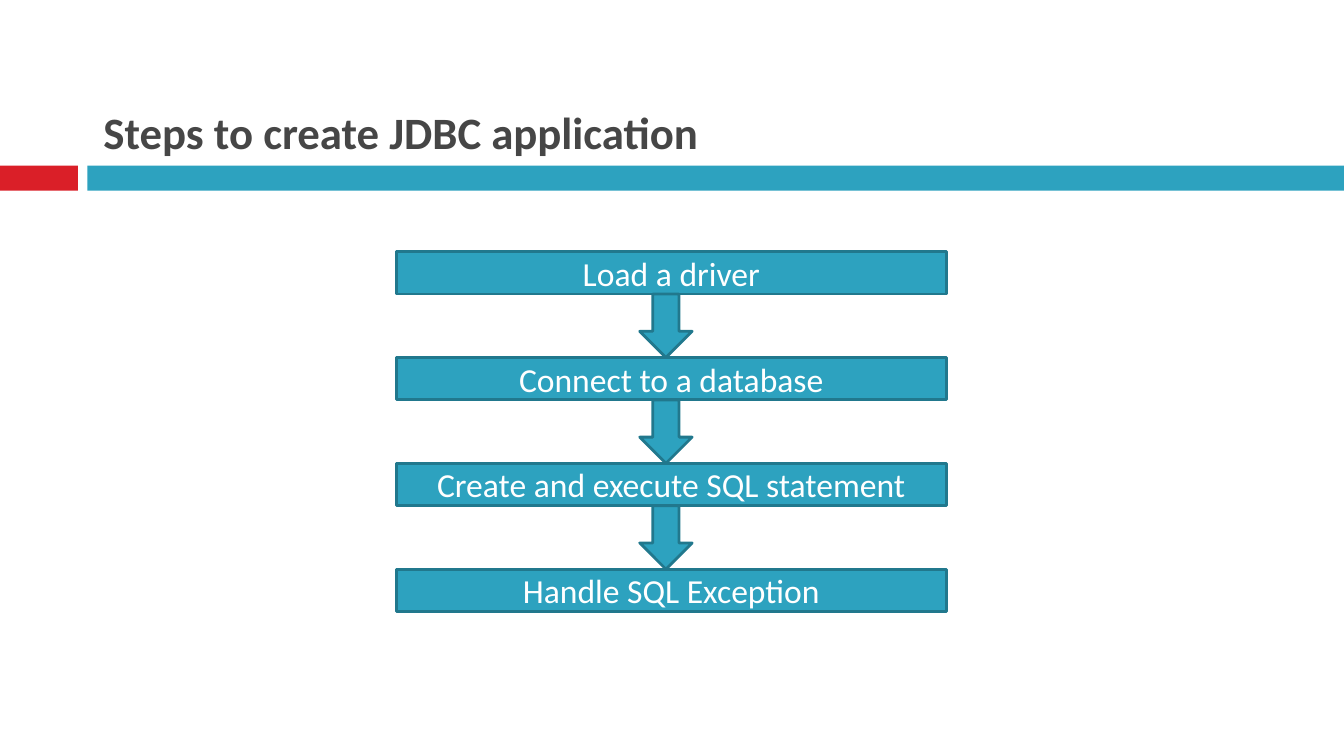
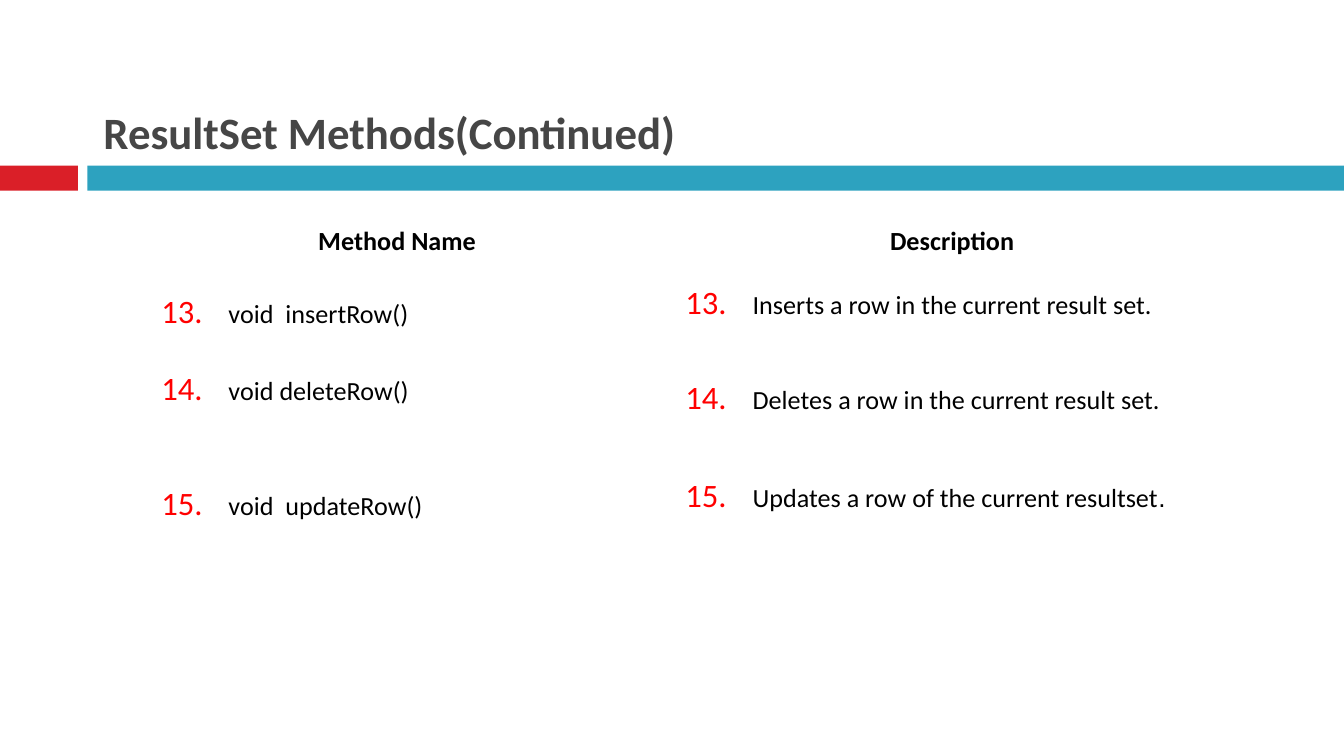
from dataclasses import dataclass

from lxml import etree
from pptx import Presentation
from pptx.dml.color import RGBColor
from pptx.enum.shapes import MSO_SHAPE
from pptx.enum.text import MSO_ANCHOR, MSO_AUTO_SIZE, PP_ALIGN
from pptx.oxml.ns import qn
from pptx.util import Inches, Pt

RECT, ARROW = MSO_SHAPE.RECTANGLE, MSO_SHAPE.DOWN_ARROW
LEFT, CENTER = PP_ALIGN.LEFT, PP_ALIGN.CENTER
BOTTOM, MIDDLE = MSO_ANCHOR.BOTTOM, MSO_ANCHOR.MIDDLE
FIXED = MSO_AUTO_SIZE.NONE


@dataclass(frozen=True)
class Theme:
    font: str = "Calibri"
    mark: str = "Arial"
    red: str = "DA1F28"
    teal: str = "2DA2BF"
    edge: str = "21788D"
    gray: str = "464646"
    white: str = "FFFFFF"
    black: str = "000000"
    count: str = "FF0000"
    title: int = 24
    step: int = 18
    body: int = 14


theme = Theme()
deck = Presentation()
deck.slide_width = Inches(10)
deck.slide_height = deck.slide_width * 9 // 16
layout = deck.slide_layouts[5]


def area(left, top, width, height):
    wide, high = deck.slide_width, deck.slide_height
    return [round(share * side / 100) for share, side in
            ((left, wide), (top, high), (width, wide), (height, high))]


def write(para, text, size, color, bold=False, font=theme.font):
    run = para.add_run()
    run.text = text
    run.font.name = font
    run.font.size = Pt(size)
    run.font.bold = bold
    run.font.color.rgb = RGBColor.from_string(color)


slides = []
for text in ("Steps to create JDBC application", "ResultSet Methods(Continued)"):
    slide = deck.slides.add_slide(layout)
    title = slide.shapes.title
    title.left, title.top, title.width, title.height = area(6.7, 2.3, 93.3, 19.58)
    frame = title.text_frame
    frame.auto_size = FIXED
    frame.word_wrap = True
    frame.vertical_anchor = BOTTOM
    frame.paragraphs[0].alignment = LEFT
    write(frame.paragraphs[0], text, theme.title, theme.gray, True)
    slides.append(slide)
flow, methods = slides

for left, width, color in ((0, 5.8, theme.red), (6.5, 93.5, theme.teal)):
    band = flow.shapes.add_shape(RECT, *area(left, 21.9, width, 3.33))
    band.shadow.inherit = False
    band.fill.solid()
    band.fill.fore_color.rgb = RGBColor.from_string(color)
    band.line.fill.background()
    layout.shapes.element.append(band.element)

steps = ("Load a driver", "Connect to a database",
         "Create and execute SQL statement", "Handle SQL Exception")
top, pitch, high = 33.3, 14, 5.6
parts = [(RECT, 29.5, top + row * pitch, 40.9, high, text)
         for row, text in enumerate(steps)]
parts += [(ARROW, 47.6, top + row * pitch + high, 3.9, pitch - high, "")
          for row in range(len(steps) - 1)]
for kind, left, y, width, height, text in parts:
    shape = flow.shapes.add_shape(kind, *area(left, y, width, height))
    shape.shadow.inherit = False
    shape.fill.solid()
    shape.fill.fore_color.rgb = RGBColor.from_string(theme.teal)
    shape.line.color.rgb = RGBColor.from_string(theme.edge)
    shape.line.width = Pt(1.5)
    if text:
        frame = shape.text_frame
        frame.word_wrap = True
        frame.vertical_anchor = MIDDLE
        frame.paragraphs[0].alignment = CENTER
        write(frame.paragraphs[0], text, theme.step, theme.white)

columns = (
    ("Method Name", 0, 0.69, (
        (22, ("void  insertRow()",)),
        (24, ("void deleteRow()",)),
        (44.5, ("void  updateRow()",)))),
    ("Description", 0.08, 0.5, (
        (17, ("Inserts a row in the current result set.",)),
        (34, ("Deletes a row in the current result set.",)),
        (35.4, ("Updates a row of the current resultset", ".")))),
)
holder = methods.shapes.add_table(2, 2, *area(9.1, 29, 81.8, 71))
table = holder.table
table.first_row = table.horz_banding = False
for row, share in zip(table.rows, (63, 8)):
    row.height = round(deck.slide_height * share / 100)
for row in table.rows:
    for cell in row.cells:
        cell.fill.background()

for cell, (head, shift, indent, items) in zip(table.rows[0].cells, columns):
    frame = cell.text_frame
    para = frame.paragraphs[0]
    para.alignment = CENTER
    para._p.get_or_add_pPr().set("marL", str(Inches(shift)))
    write(para, head, theme.body, theme.black, True)
    for gap, texts in items:
        para = frame.add_paragraph()
        para.alignment = LEFT
        para.space_before = Pt(gap)
        props = para._p.get_or_add_pPr()
        props.set("marL", str(Inches(indent)))
        props.set("indent", str(Inches(-0.5)))
        tint = etree.SubElement(props, qn("a:buClr"))
        etree.SubElement(tint, qn("a:srgbClr"), val=theme.count)
        etree.SubElement(props, qn("a:buSzPct"), val="125000")
        etree.SubElement(props, qn("a:buFont"), typeface="+mj-lt")
        etree.SubElement(props, qn("a:buAutoNum"), type="arabicPeriod", startAt="13")
        for text, font in zip(texts, (theme.font, theme.mark)):
            write(para, text, theme.body, theme.black, font=font)

deck.save("out.pptx")
